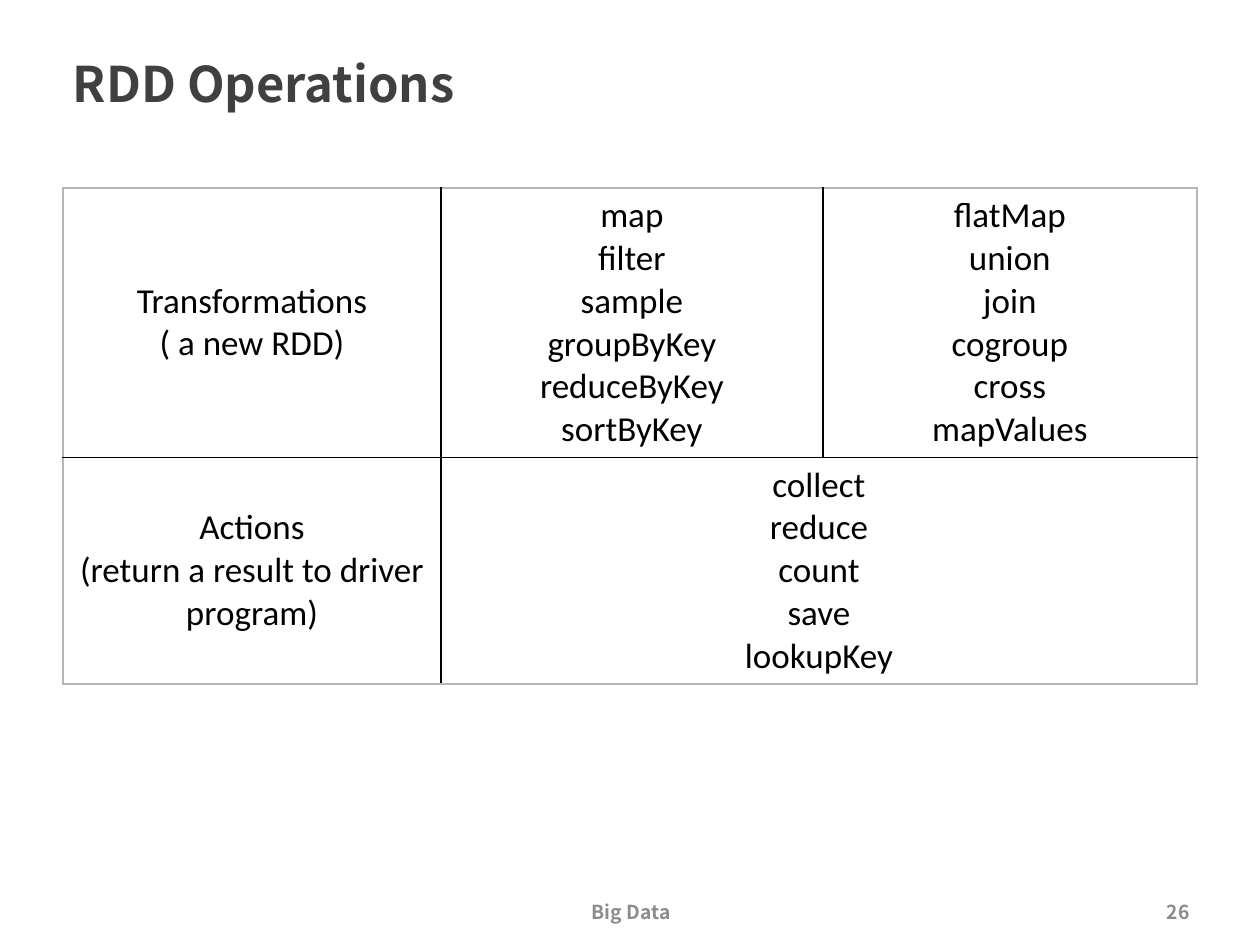
"""Build the RDD Operations slide with its table of transformations and actions."""
import dataclasses

import lxml.etree
import pptx
import pptx.dml.color
import pptx.enum.text
import pptx.oxml.ns
import pptx.util

Inches = pptx.util.Inches
ALIGN = pptx.enum.text.PP_ALIGN
ANCHOR = pptx.enum.text.MSO_ANCHOR


@dataclasses.dataclass(frozen=True)
class Theme:
    heading_font: str = "Noto Sans CJK KR"
    body_font: str = "Calibri"
    title_color: str = "404040"
    body_color: str = "000000"
    footer_color: str = "8C8C8C"
    inner_rule: str = "000000"
    outer_rule: str = "B7B7B7"
    title_size: int = 28
    body_size: int = 20
    footer_size: int = 11
    rule_width: int = 1


theme = Theme()


def write_text(frame, text, *, font, size, color, bold=False, align=ALIGN.LEFT, spacing=1.0):
    frame.word_wrap = True
    for index, line in enumerate(text.split("\n")):
        paragraph = frame.add_paragraph() if index else frame.paragraphs[0]
        paragraph.alignment = align
        paragraph.line_spacing = spacing
        run = paragraph.add_run()
        run.text = line
        run.font.name = font
        run.font.size = pptx.util.Pt(size)
        run.font.bold = bold
        run.font.color.rgb = pptx.dml.color.RGBColor.from_string(color)


def draw_edge(cell, side, color):
    qn = pptx.oxml.ns.qn
    properties = cell._tc.get_or_add_tcPr()
    edge = lxml.etree.SubElement(properties, qn(f"a:ln{side}"), w=str(pptx.util.Pt(theme.rule_width)))
    fill = lxml.etree.SubElement(edge, qn("a:solidFill"))
    lxml.etree.SubElement(fill, qn("a:srgbClr"), val=color)


deck = pptx.Presentation()
deck.slide_width, deck.slide_height = Inches(10), Inches(7.5)
slide = deck.slides.add_slide(deck.slide_layouts[6])

title = slide.shapes.add_textbox(Inches(0.48), Inches(0.15), Inches(9.06), Inches(0.8)).text_frame
title.vertical_anchor = ANCHOR.BOTTOM
write_text(title, "RDD Operations", font=theme.heading_font, size=theme.title_size,
           color=theme.title_color, bold=True, spacing=0.9)

column_widths = [3, 3.03, 2.97]
row_heights = [2.14, 1.8]
operations = [
    ["Transformations\n( a new RDD)",
     "map\nfilter\nsample\ngroupByKey\nreduceByKey\nsortByKey",
     "flatMap\nunion\njoin\ncogroup\ncross\nmapValues"],
    ["Actions\n(return a result to driver program)",
     "collect\nreduce\ncount\nsave\nlookupKey"],
]
table = slide.shapes.add_table(
    len(row_heights), len(column_widths), Inches(0.5), Inches(1.49),
    Inches(sum(column_widths)), Inches(sum(row_heights))).table
table.first_row = table.horz_banding = False
for column, width in zip(table.columns, column_widths):
    column.width = Inches(width)
for row, height in zip(table.rows, row_heights):
    row.height = Inches(height)
table.cell(1, 1).merge(table.cell(1, 2))

last_row, last_column = len(row_heights) - 1, len(column_widths) - 1
for r in range(len(row_heights)):
    for c in range(len(column_widths)):
        cell = table.cell(r, c)
        outer_sides = {"L": c == 0, "R": c == last_column or cell.is_merge_origin,
                       "T": r == 0, "B": r == last_row}
        for side, is_outer in outer_sides.items():
            if not (cell.is_spanned and side == "L"):
                draw_edge(cell, side, theme.outer_rule if is_outer else theme.inner_rule)
        cell.fill.background()
        cell.vertical_anchor = ANCHOR.MIDDLE
        if not cell.is_spanned:
            write_text(cell.text_frame, operations[r][c], font=theme.body_font,
                       size=theme.body_size, color=theme.body_color, align=ALIGN.CENTER)

for text, left, width, align in [("Big Data", 3.32, 3.38, ALIGN.CENTER),
                                 ("26", 7.29, 2.25, ALIGN.RIGHT)]:
    footer = slide.shapes.add_textbox(Inches(left), Inches(7.12), Inches(width), Inches(0.23)).text_frame
    footer.vertical_anchor = ANCHOR.MIDDLE
    footer.margin_top = footer.margin_bottom = 0
    write_text(footer, text, font=theme.heading_font, size=theme.footer_size,
               color=theme.footer_color, bold=True, align=align)

deck.save("out.pptx")
